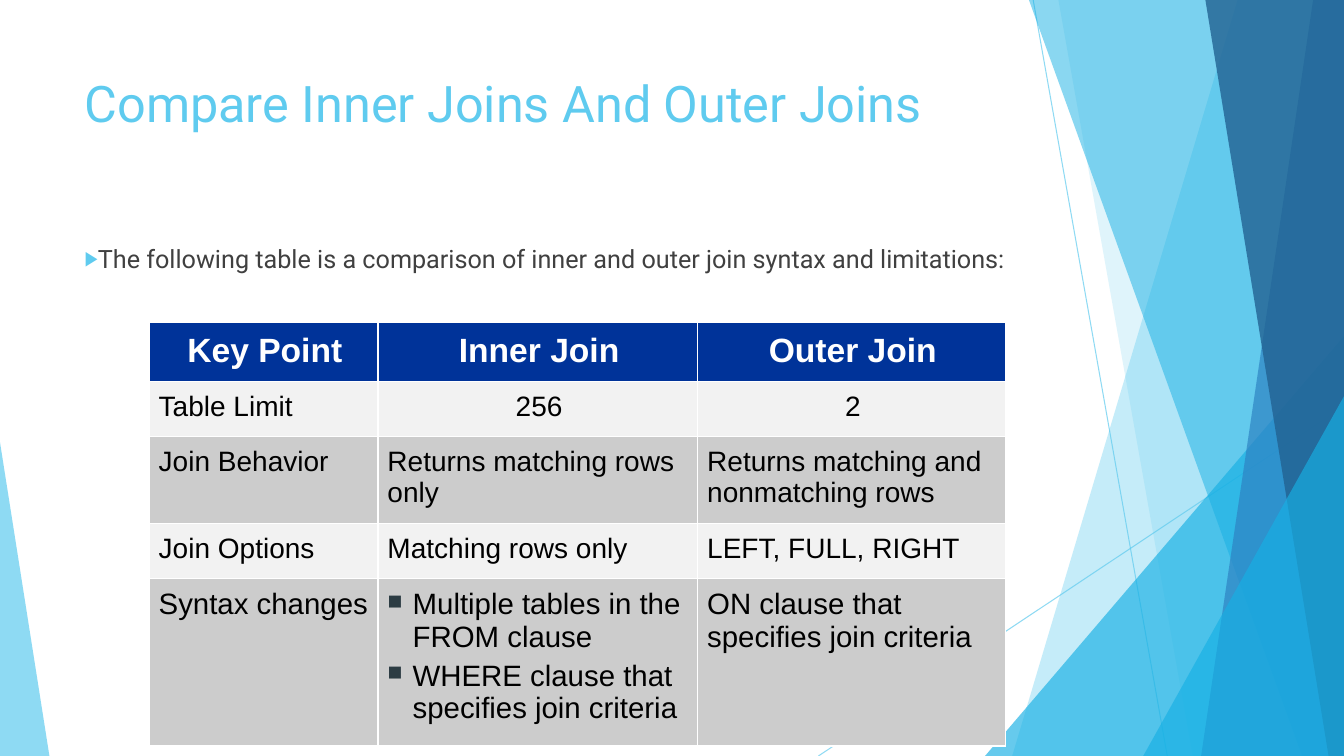
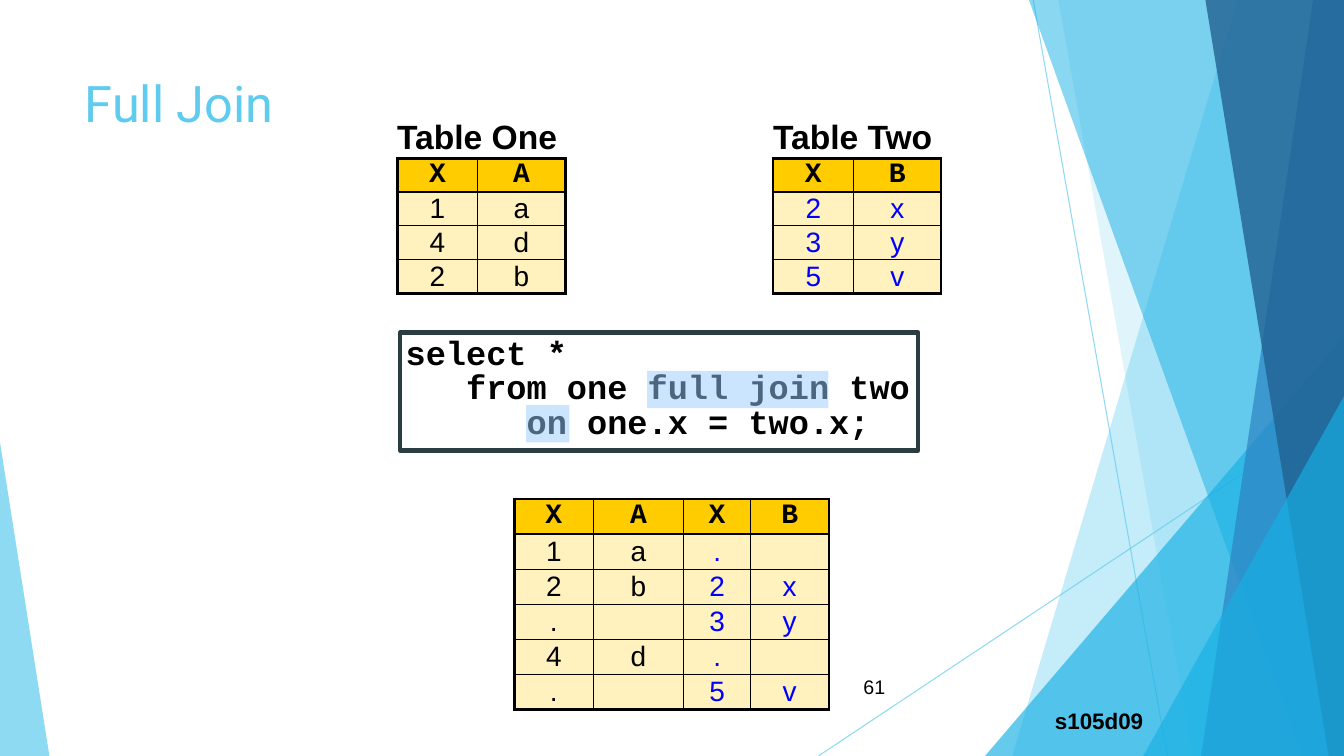
import pptx
import pptx.dml.color
import pptx.enum.shapes
import pptx.enum.text
import pptx.oxml.ns
import pptx.util
from lxml import etree

Pt = pptx.util.Pt
qn = pptx.oxml.ns.qn
SHAPE = pptx.enum.shapes.MSO_SHAPE
ALIGN = pptx.enum.text.PP_ALIGN
ANCHOR = pptx.enum.text.MSO_ANCHOR

HEX = {
    "sky": "5FCBEF", "cyan": "17B0E4", "blue": "2E83C3", "navy": "226292",
    "white": "FFFFFF", "black": "000000", "body": "404040", "slate": "2C3C43",
    "header": "003399", "light": "F2F2F2", "grey": "CCCCCC",
    "gold": "FFCC00", "cream": "FFF2BE", "ink": "0000FF", "marker": "99CCFF",
}
RGB = {name: pptx.dml.color.RGBColor.from_string(code) for name, code in HEX.items()}
WIDTH, HEIGHT = 960, 540


def fade(shape, paint, colour, opacity):
    """Give a fill or line a translucent colour."""
    paint.solid()
    paint.fore_color.rgb = RGB[colour]
    color = shape.element.xpath(".//a:srgbClr")[0]
    etree.SubElement(color, qn("a:alpha"), val=str(opacity * 1000))


def add_bullet(para, glyph, colour, percent, indent):
    """Put a coloured bullet with a hanging indent on a paragraph."""
    props = para._p.get_or_add_pPr()
    props.set("marL", str(Pt(indent)))
    props.set("indent", str(-Pt(indent)))
    color = etree.SubElement(props, qn("a:buClr"))
    etree.SubElement(color, qn("a:srgbClr"), val=HEX[colour])
    etree.SubElement(props, qn("a:buSzPct"), val=str(percent * 1000))
    etree.SubElement(props, qn("a:buChar"), char=glyph)


deck = pptx.Presentation()
deck.slide_width, deck.slide_height = Pt(WIDTH), Pt(HEIGHT)
compare_page = deck.slides.add_slide(deck.slide_layouts[1])
join_page = deck.slides.add_slide(deck.slide_layouts[5])

# Shared backdrop: lines, bands to the right edge (top x, bottom x),
# and triangles (left, top, width, height, apex)
backdrop = []
for ends in [(738, 0, 833.8, HEIGHT), (WIDTH, 290.2, 584.6, HEIGHT)]:
    line = compare_page.shapes.add_connector(
        pptx.enum.shapes.MSO_CONNECTOR.STRAIGHT, *map(Pt, ends))
    line.line.width = Pt(0.75)
    fade(line, line.line.fill, "sky", 70)
    etree.SubElement(line.element.spPr, qn("a:effectLst"))
    backdrop.append(line)
for colour, opacity, outline in [
    ("sky", 36, (884.2, 722.9)),
    ("sky", 20, (756, 851.8)),
    ("cyan", 66, (703.6, 240, 256.4, 300, 1)),
    ("cyan", 50, (735.1, 929.5)),
    ("blue", 70, (938.2, 858.2)),
    ("navy", 80, (861.1, 949)),
    ("cyan", 66, (816.6, 283, 143.4, 257, 1)),
    ("sky", 70, (0, 316, 35.3, 224, 0)),
]:
    if len(outline) == 2:
        top_x, bottom_x = outline
        builder = compare_page.shapes.build_freeform(top_x, 0, scale=Pt(1))
        builder.add_line_segments([(WIDTH, 0), (WIDTH, HEIGHT), (bottom_x, HEIGHT)])
        shape = builder.convert_to_shape()
    else:
        shape = compare_page.shapes.add_shape(
            SHAPE.ISOSCELES_TRIANGLE, *map(Pt, outline[:4]))
        shape.adjustments[0] = outline[4]
    fade(shape, shape.fill, colour, opacity)
    shape.line.fill.background()
    shape.shadow.inherit = False
    backdrop.append(shape)
for number, shape in enumerate(backdrop, 100):
    shape.element.xpath(".//p:cNvPr")[0].set("id", str(number))
    deck.slide_master.shapes.element.append(shape.element)

# Titles
for page, words in [(compare_page, "Compare Inner Joins And Outer Joins"),
                    (join_page, "Full Join")]:
    title = page.shapes.title
    title.left, title.top, title.width, title.height = map(Pt, (53.3, 48, 676.8, 103.7))
    title.text_frame.text = words
    title.text_frame.vertical_anchor = ANCHOR.TOP
    para = title.text_frame.paragraphs[0]
    para.alignment = ALIGN.LEFT
    para.font.size, para.font.name = Pt(36), "Roboto"
    para.font.color.rgb = RGB["sky"]

# Introduction to the comparison
body = compare_page.placeholders[1]
body.left, body.top, body.width, body.height = map(Pt, (53.3, 170, 676.8, 305.3))
body.text_frame.text = ("The following table is a comparison of inner and outer join "
                        "syntax and limitations:")
para = body.text_frame.paragraphs[0]
add_bullet(para, "▶", "sky", 80, 0)
para.space_before = Pt(0)
para.font.size, para.font.name = Pt(18), "Roboto"
para.font.color.rgb = RGB["body"]

# Comparison table
edges = []  # (cell, colour, widths of left, right, top and bottom)
comparison = [
    ["Key Point", "Inner Join", "Outer Join"],
    ["Table Limit", "256", "2"],
    ["Join Behavior", "Returns matching rows only", "Returns matching and nonmatching rows"],
    ["Join Options", "Matching rows only", "LEFT, FULL, RIGHT"],
    ["Syntax changes",
     "Multiple tables in the FROM clause\nWHERE clause that specifies join criteria",
     "ON clause that specifies join criteria"],
]
sizes = [24, 20, 20, 20, 21]
row_heights = [42.2, 39.2, 62.2, 39.2, 119.8]
column_widths = [163.4, 228.4, 219.8]
table = compare_page.shapes.add_table(
    5, 3, Pt(106.6), Pt(230.4), Pt(sum(column_widths)), Pt(sum(row_heights))).table
for column, width in zip(table.columns, column_widths):
    column.width = Pt(width)
for r, texts in enumerate(comparison):
    table.rows[r].height = Pt(row_heights[r])
    for c, words in enumerate(texts):
        cell = table.cell(r, c)
        cell.text = words
        cell.margin_top = cell.margin_bottom = Pt(7)
        cell.margin_left = Pt(6.8)
        cell.margin_right = Pt(5)
        cell.fill.solid()
        cell.fill.fore_color.rgb = RGB["header" if r == 0 else "light" if r % 2 else "grey"]
        edges.append((cell, "white", (1, 1, 1, 1)))
        for index, para in enumerate(cell.text_frame.paragraphs):
            if "\n" in words:
                add_bullet(para, "■", "slate", 70, 18)
            para.space_before = Pt(4.2 if index else 0)
            centred = r == 0 or (r == 1 and c > 0)
            para.alignment = ALIGN.CENTER if centred else ALIGN.LEFT
            para.font.size, para.font.name, para.font.bold = Pt(sizes[r]), "Arial", r == 0
            para.font.color.rgb = RGB["white" if r == 0 else "black"]

# Code
code = join_page.shapes.add_shape(
    SHAPE.RECTANGLE, Pt(285.8), Pt(237.6), Pt(370.1), Pt(84.2))
code.shadow.inherit = False
code.fill.solid()
code.fill.fore_color.rgb = RGB["white"]
code.line.color.rgb, code.line.width = RGB["slate"], Pt(3)
frame = code.text_frame
frame.word_wrap, frame.vertical_anchor = False, ANCHOR.TOP
frame.margin_left = frame.margin_right = frame.margin_top = frame.margin_bottom = Pt(4)
frame.text = "select *\n   from one full join two\n      on one.x = two.x;"
for para in frame.paragraphs:
    para.alignment, para.line_spacing = ALIGN.LEFT, 0.85
    para.font.size, para.font.name, para.font.bold = Pt(24), "Courier New", True
    para.font.color.rgb = RGB["black"]

# Data tables: caption row, header row, then values; ink_from is the first blue column
for left, top, column_widths, caption_height, row_height, ink_from, caption, rows in [
    (283.7, 84.2, [57.6, 62.4], 28.8, 24.2, 2, "Table One", ["XA", "1a", "4d", "2b"]),
    (552.2, 84.2, [57.6, 62.4], 28.8, 24.2, 0, "Table Two", ["XB", "2x", "3y", "5v"]),
    (367.5, 326.9, [56.2, 64.8, 47.5, 56.2], 29.5, 25.1, 2, "",
     ["XAXB", ("1", "a", ".", ""), "2b2x", (".", "", "3", "y"),
      ("4", "d", ".", ""), (".", "", "5", "v")]),
]:
    count, last = len(rows), len(column_widths) - 1
    table = join_page.shapes.add_table(
        count + 1, last + 1, Pt(left), Pt(top), Pt(sum(column_widths)),
        Pt(caption_height + count * row_height)).table
    table.first_row = table.horz_banding = False
    for column, width in zip(table.columns, column_widths):
        column.width = Pt(width)
    table.cell(0, 0).merge(table.cell(0, last))
    for r, texts in enumerate([[caption] + [""] * last] + rows):
        table.rows[r].height = Pt(row_height if r else caption_height)
        for c, words in enumerate(texts):
            cell = table.cell(r, c)
            cell.text = words
            cell.vertical_anchor = ANCHOR.MIDDLE
            cell.margin_top = cell.margin_bottom = 0
            para = cell.text_frame.paragraphs[0]
            para.font.size = Pt(20 if r else 24)
            para.font.name = "Courier New" if r == 1 else "Arial"
            para.font.bold = r < 2
            para.font.color.rgb = RGB["ink" if r > 1 and c >= ink_from else "black"]
            if r == 0:
                cell.margin_left = cell.margin_right = 0
                cell.fill.background()
                edges.append((cell, "black", (0, 0, 0, 2.25)))
                continue
            para.alignment = ALIGN.CENTER
            cell.fill.solid()
            cell.fill.fore_color.rgb = RGB["gold" if r == 1 else "cream"]
            outer = (c == 0, c == last, r == 1, r == count)
            edges.append((cell, "black", [2.25 if side else 1 for side in outer]))

# Cell borders of all tables
for cell, colour, widths in edges:
    props = cell._tc.get_or_add_tcPr()
    for index, (side, width) in enumerate(zip("LRTB", widths)):
        border = etree.Element(qn("a:ln" + side), w=str(Pt(width)))
        if width:
            paint = etree.SubElement(border, qn("a:solidFill"))
            etree.SubElement(paint, qn("a:srgbClr"), val=HEX[colour])
        else:
            etree.SubElement(border, qn("a:noFill"))
        props.insert(index, border)

# Page number and program name
for words, place, size, bold, anchor, margin in [
    ("61", (567.4, 475.9, 72, 28.8), 14, False, ANCHOR.MIDDLE, 3.6),
    ("s105d09", (733.6, 498.2, 90, 33.1), 16, True, ANCHOR.TOP, 7.2),
]:
    box = join_page.shapes.add_textbox(*map(Pt, place))
    frame = box.text_frame
    frame.text, frame.word_wrap, frame.vertical_anchor = words, True, anchor
    frame.margin_top = frame.margin_bottom = Pt(margin)
    para = frame.paragraphs[0]
    para.alignment = ALIGN.RIGHT
    para.font.size, para.font.name, para.font.bold = Pt(size), "Arial", bold
    para.font.color.rgb = RGB["black"]

# Keyword highlights over the code
for left, top, width in [(462.2, 265, 129.6), (375.8, 289.4, 31)]:
    highlight = join_page.shapes.add_shape(
        SHAPE.RECTANGLE, Pt(left), Pt(top), Pt(width), Pt(26.6))
    fade(highlight, highlight.fill, "marker", 50)
    highlight.line.fill.background()
    highlight.shadow.inherit = False

deck.save("out.pptx")
